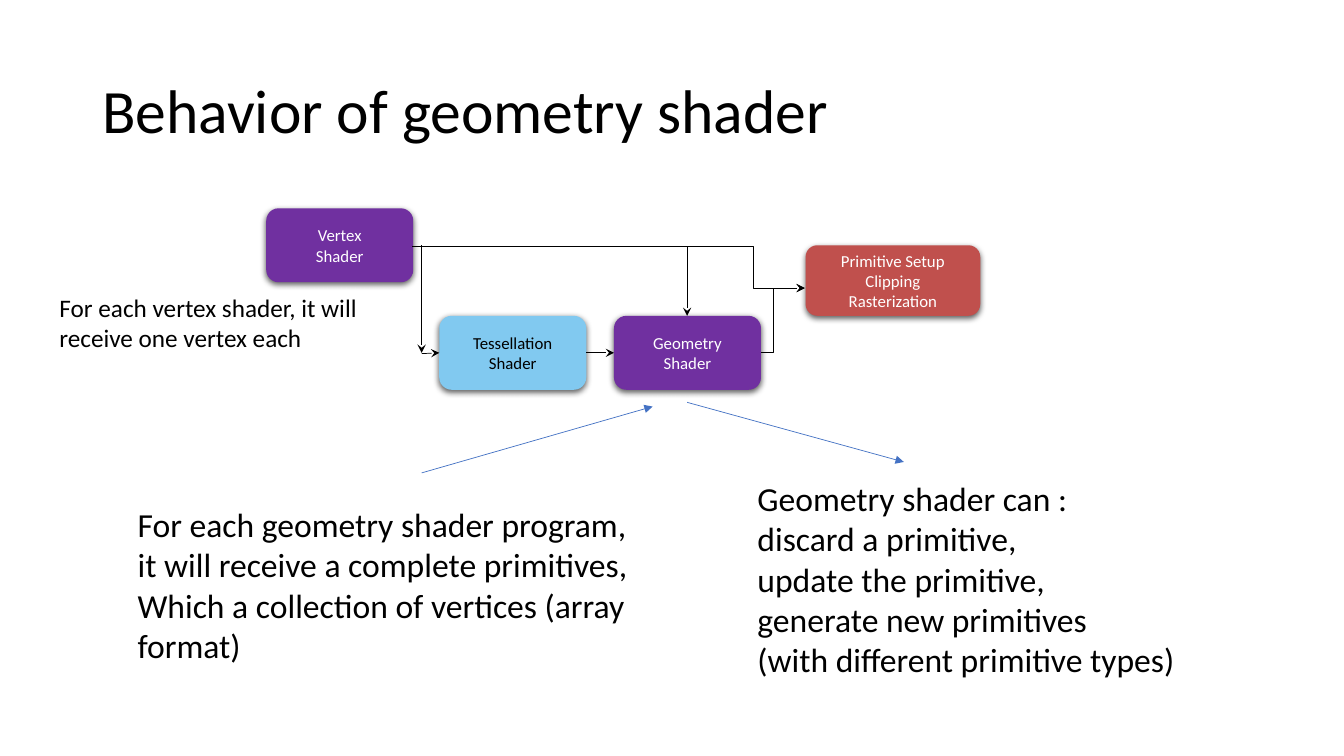
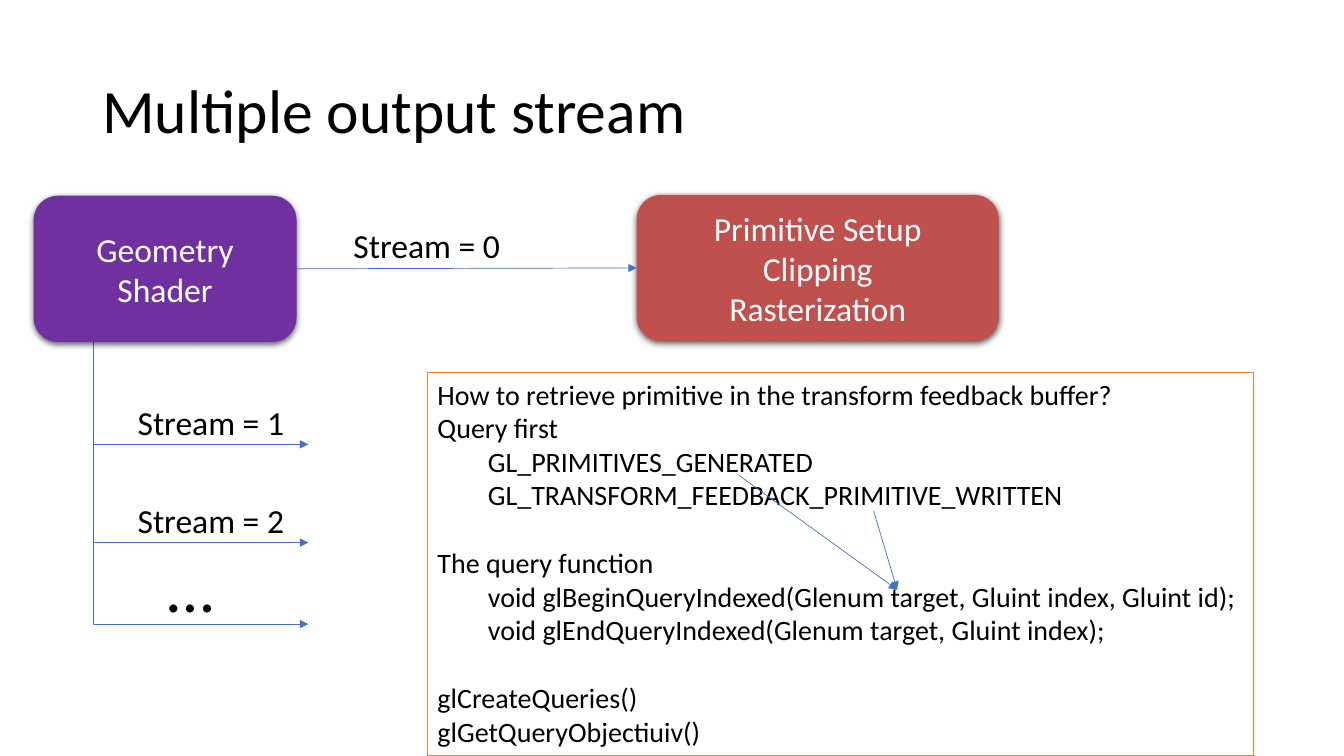
import dataclasses

import pptx
import pptx.dml.color
import pptx.enum.shapes
import pptx.enum.text
import pptx.oxml
import pptx.oxml.ns
import pptx.util
from lxml import etree


@dataclasses.dataclass(frozen=True)
class Theme:
    font: str = "Calibri"
    black: str = "000000"
    white: str = "FFFFFF"
    programmable: str = "7030A0"
    optional: str = "81C9F0"
    fixed: str = "C0504D"
    pointer: str = "4472C4"
    frame: str = "ED7D31"
    title: int = 44
    dots: int = 48
    body: int = 24
    code: int = 20
    note: int = 18
    small: int = 12
    thin: float = 0.5
    border: float = 0.75


theme = Theme()
COLUMNS, ROWS = 160, 90
CELL = pptx.util.Inches(1 / 12)
SHAPES = pptx.enum.shapes.MSO_SHAPE
ROUTES = pptx.enum.shapes.MSO_CONNECTOR
ANCHORS = pptx.enum.text.MSO_ANCHOR
FITS = pptx.enum.text.MSO_AUTO_SIZE
qn = pptx.oxml.ns.qn
rgb = pptx.dml.color.RGBColor.from_string
SHADOW = (
    f'<a:outerShdw {pptx.oxml.ns.nsdecls("a")} blurRad="57150" dist="19050" dir="5400000" '
    'algn="ctr" rotWithShape="0"><a:srgbClr val="000000"><a:alpha val="63000"/></a:srgbClr></a:outerShdw>'
)


def write(slide, place, *lines, size=theme.body, color=theme.black, fill=None, border=None,
          middle=False, wrap=True, grow=True, spacing=None, indented=(), spaced=()):
    """Set lines of text in a grid place; a fill makes it a shadowed node, a border a frame."""
    area = [round(value * CELL) for value in place]
    if fill or border:
        part = slide.shapes.add_shape(SHAPES.ROUNDED_RECTANGLE if fill else SHAPES.RECTANGLE, *area)
        part.shadow.inherit = False
        if fill:
            part.fill.solid()
            part.fill.fore_color.rgb = rgb(fill)
            part.line.fill.background()
            effects = part._element.spPr.find(qn("a:effectLst"))
            effects.append(pptx.oxml.parse_xml(SHADOW))
        else:
            part.fill.background()
            part.line.color.rgb = rgb(border)
            part.line.width = pptx.util.Pt(theme.border)
    else:
        part = slide.shapes.add_textbox(*area)
    frame = part.text_frame
    frame.word_wrap = wrap
    frame.auto_size = FITS.SHAPE_TO_FIT_TEXT if grow and not fill else FITS.NONE
    frame.vertical_anchor = ANCHORS.MIDDLE if middle or fill else ANCHORS.TOP
    for number, line in enumerate(lines):
        paragraph = frame.paragraphs[0] if number == 0 else frame.add_paragraph()
        paragraph.alignment = pptx.enum.text.PP_ALIGN.CENTER if fill else pptx.enum.text.PP_ALIGN.LEFT
        if spacing:
            paragraph.line_spacing = spacing
        if number in spaced:
            paragraph.space_before = pptx.util.Pt(1.22 * size)
        if number in indented:
            paragraph.level = 1
            paragraph._p.get_or_add_pPr().set("marL", str(6 * CELL))
        run = paragraph.add_run()
        run.text = line
        run.font.name = theme.font
        run.font.size = pptx.util.Pt(size)
        run.font.color.rgb = rgb(color)
    return part


def arrow(slide, start, end, color=theme.pointer, head="triangle", bend=None, corner=False):
    """Draw an arrow; bend is the share of the width where it turns, corner makes a single turn."""
    elbow = corner or bend is not None
    ends = [round(value * CELL) for value in (*start, *end)]
    link = slide.shapes.add_connector(ROUTES.ELBOW if elbow else ROUTES.STRAIGHT, *ends)
    link.line.color.rgb = rgb(color)
    link.line.width = pptx.util.Pt(theme.thin)
    outline = link.line._get_or_add_ln()
    etree.SubElement(outline, qn("a:tailEnd"), type=head)
    properties = link._element.spPr
    etree.SubElement(properties, qn("a:effectLst"))
    geometry = properties.find(qn("a:prstGeom"))
    if corner:
        geometry.set("prst", "bentConnector2")
    elif elbow:
        guides = geometry.find(qn("a:avLst"))
        etree.SubElement(guides, qn("a:gd"), name="adj1", fmla=f"val {round(bend * 100000)}")
    return link


deck = pptx.Presentation()
deck.slide_width, deck.slide_height = COLUMNS * CELL, ROWS * CELL
slides = []
for title in ("Behavior of geometry shader", "Multiple output stream"):
    slide = deck.slides.add_slide(deck.slide_layouts[6])
    write(slide, (11, 4.8, 138, 17.4), title, size=theme.title, middle=True, grow=False, spacing=0.9)
    slides.append(slide)
behavior, streams = slides
fixed_stages = ("Primitive Setup", "Clipping", "Rasterization")

# Pipeline of shader stages
write(behavior, (95.9, 29.2, 20.8, 8.4), *fixed_stages,
      size=theme.small, color=theme.white, fill=theme.fixed)
stages = {}
for stage, left, top, fill, color in (
    ("Vertex", 31.7, 24.8, theme.programmable, theme.white),
    ("Geometry", 73.1, 37.6, theme.programmable, theme.white),
    ("Tessellation", 52.3, 37.6, theme.optional, theme.black),
):
    stages[stage] = write(behavior, (left, top, 17.5, 8.8), stage, "Shader",
                          size=theme.small, color=color, fill=fill)

flow = {"color": theme.black, "head": "stealth"}
vertex_out, raster_in = (49.1, 29.3), (95.8, 34.3)
arrow(behavior, vertex_out, raster_in, bend=0.87, **flow)
arrow(behavior, vertex_out, (81.8, 37.6), corner=True, **flow)
arrow(behavior, (90.6, 42), raster_in, bend=0.29, **flow)
arrow(behavior, (50.2, 29.2), (50.2, 42), **flow)
into_tessellation = arrow(behavior, (50.2, 42.1), (52.3, 42), **flow)
into_tessellation.end_connect(stages["Tessellation"], 1)
into_geometry = arrow(behavior, (69.8, 42), (73.1, 42), **flow)
into_geometry.begin_connect(stages["Tessellation"], 3)
into_geometry.end_connect(stages["Geometry"], 1)

# What each stage receives and produces
write(behavior, (15.2, 59.4, 64.7, 20.6),
      "For each geometry shader program,",
      "it will receive a complete primitives,",
      "Which a collection of vertices (array format)")
write(behavior, (89, 56.3, 68.6, 25.4),
      "Geometry shader can :",
      "discard a primitive,",
      "update the primitive,",
      "generate new primitives",
      "(with different primitive types)")
write(behavior, (5.9, 34.2, 43.8, 8.5),
      "For each vertex shader, it will receive one vertex each", size=theme.note)
arrow(behavior, (50.2, 56.3), (77.7, 48.4))
arrow(behavior, (81.8, 47.9), (107.6, 55))

# Streams branching from the geometry shader
for label, left, rise, width, height, size, tip in (
    ("Stream = 1", 15.2, 5.7, 20, 6, theme.body, 52.9),
    ("Stream = 2", 15.2, 5.7, 20, 6, theme.body, 64.6),
    ("…", 18.8, 10, 9.8, 10.9, theme.dots, 74.3),
):
    arrow(streams, (11.1, tip - 25.2), (36.7, tip), bend=0)
    write(streams, (left, tip - rise, width, height), label, size=size, wrap=False)

raster = write(streams, (75.8, 23.2, 43.1, 17.4), *fixed_stages, color=theme.white, fill=theme.fixed)
geometry_shader = write(streams, (4, 23.3, 31.3, 17.4), "Geometry", "Shader",
                        color=theme.white, fill=theme.programmable)
main_stream = arrow(streams, (35.3, 32), (75.8, 31.9))
main_stream.begin_connect(geometry_shader, 3)
main_stream.end_connect(raster, 1)
write(streams, (40.9, 26.2, 20, 6), "Stream = 0", wrap=False)

# Query functions
write(streams, (50.9, 44.3, 98.3, 45.6),
      "How to retrieve primitive in the transform feedback buffer?",
      "Query first",
      "GL_PRIMITIVES_GENERATED",
      "GL_TRANSFORM_FEEDBACK_PRIMITIVE_WRITTEN",
      "The query function",
      "void glBeginQueryIndexed(Glenum target, Gluint index, Gluint id);",
      "void glEndQueryIndexed(Glenum target, Gluint index);",
      "glCreateQueries()",
      "glGetQueryObjectiuiv()",
      size=theme.code, border=theme.frame, wrap=False, indented=(2, 3, 5, 6), spaced=(4, 7))
for query_name in ((88, 56.6), (104, 60.8)):
    arrow(streams, query_name, (106.8, 70.2))

deck.save("out.pptx")
